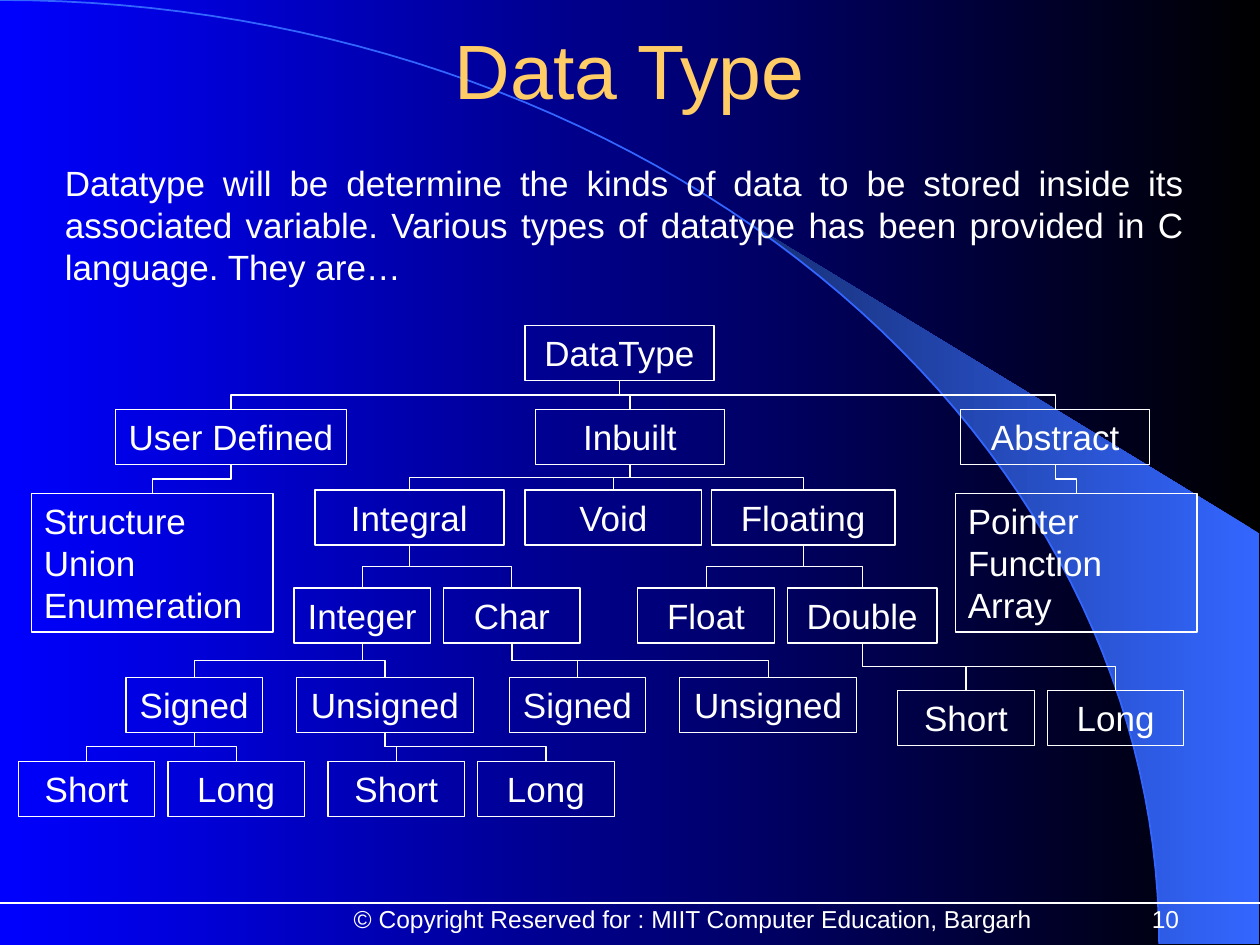
import math

import pptx
import pptx.dml.color
import pptx.enum.shapes
import pptx.enum.text
import pptx.oxml
import pptx.oxml.ns
import pptx.util

Pt = pptx.util.Pt
ALIGN = pptx.enum.text.PP_ALIGN
ANCHOR = pptx.enum.text.MSO_ANCHOR
AUTO_SIZE = pptx.enum.text.MSO_AUTO_SIZE
CONNECTOR = pptx.enum.shapes.MSO_CONNECTOR

COLORS = {
    "text": "FFFFFF", "line": "FFFFFF", "title": "FFCC66",
    "arc": "3366FF", "wedge_dark": "172F75",
    "back_right": "000000", "back_left": "0000FF",
}

# Tree geometry
NODE_HEIGHT = 31.5
LIST_HEIGHT = 79.2
LEAF_WIDTH = 78
LEAF_STEP = 85.5
TOP_SITE, BOTTOM_SITE = 0, 2

# Background arc: a quarter ellipse centred on the lower left corner
ARC_WIDTH, ARC_HEIGHT = 662.4, 539.3

# name: (parent, text, left, top, width)
NODES = {
    "root": (None, "DataType", 300, 186, 108),
    "user": ("root", "User Defined", 66, 234, 132),
    "inbuilt": ("root", "Inbuilt", 306, 234, 108),
    "abstract": ("root", "Abstract", 549, 234, 108),
    "user list": ("user", "Structure\nUnion\nEnumeration", 18, 282, 138),
    "integral": ("inbuilt", "Integral", 180, 280, 108),
    "void": ("inbuilt", "Void", 300, 280, 101),
    "floating": ("inbuilt", "Floating", 406.5, 280, 105),
    "abstract list": ("abstract", "Pointer\nFunction\nArray", 546, 282, 138),
    "integer": ("integral", "Integer", 168, 336, LEAF_WIDTH),
    "char": ("integral", "Char", 168 + LEAF_STEP, 336, LEAF_WIDTH),
    "float": ("floating", "Float", 364.5, 336, LEAF_WIDTH),
    "double": ("floating", "Double", 364.5 + LEAF_STEP, 336, 85.5),
    "signed integer": ("integer", "Signed", 72, 387, LEAF_WIDTH),
    "unsigned integer": ("integer", "Unsigned", 169.5, 387, 101),
    "signed char": ("char", "Signed", 291, 387, LEAF_WIDTH),
    "unsigned char": ("char", "Unsigned", 388.5, 387, 101),
}

# Each parent here has a Short and a Long leaf: (left, top)
SHORT_LONG = {
    "signed integer": (10.5, 435),
    "unsigned integer": (187.5, 435),
    "double": (513, 394.5),
}


def rgb(name):
    return pptx.dml.color.RGBColor.from_string(COLORS[name])


def apply_format(target, values):
    for name, value in values.items():
        setattr(target, name, value)


def fill_gradient(fill, first, last):
    fill.gradient()
    fill.gradient_angle = 180
    for stop, name in zip(fill.gradient_stops, (first, last)):
        stop.color.rgb = rgb(name)


def set_line(line, color, width):
    line.color.rgb = rgb(color)
    line.width = Pt(width)


def remove_shadow(connector):
    connector._element.spPr.append(pptx.oxml.parse_xml(
        "<a:effectLst %s/>" % pptx.oxml.ns.nsdecls("a")))


def write_text(shape, text, size, align, color="text",
               anchor=ANCHOR.TOP, auto_size=AUTO_SIZE.NONE):
    frame = shape.text_frame
    frame.text = text
    apply_format(frame, {"word_wrap": True, "vertical_anchor": anchor,
                         "auto_size": auto_size})
    for paragraph in frame.paragraphs:
        paragraph.alignment = align
        apply_format(paragraph.font, {"name": "Arial", "size": Pt(size)})
        paragraph.font.color.rgb = rgb(color)


def add_text(slide, box, text, size, align, **options):
    shape = slide.shapes.add_textbox(*map(Pt, box))
    write_text(shape, text, size, align, **options)


def arc_points(start_degrees, steps=60):
    points = []
    for step in range(steps + 1):
        angle = math.radians(start_degrees + (90 - start_degrees) * step / steps)
        points.append((ARC_WIDTH * math.sin(angle),
                       ARC_HEIGHT * (1 - math.cos(angle))))
    return points


def add_outline(slide, points, close):
    points = [(Pt(x), Pt(y)) for x, y in points]
    builder = slide.shapes.build_freeform(*points[0])
    builder.add_line_segments(points[1:], close=close)
    shape = builder.convert_to_shape()
    shape.shadow.inherit = False
    return shape


def add_background(slide):
    fill_gradient(slide.background.fill, "back_right", "back_left")

    wedge = add_outline(
        slide, arc_points(39.8) + [(719.3, ARC_HEIGHT), (719.3, 304.6)], True)
    fill_gradient(wedge.fill, "arc", "wedge_dark")
    wedge.line.fill.background()

    arc = add_outline(slide, arc_points(0), False)
    arc.fill.background()
    set_line(arc.line, "arc", 1)

    rule = slide.shapes.add_connector(
        CONNECTOR.STRAIGHT, 0, Pt(516), Pt(720), Pt(516))
    set_line(rule.line, "line", 0.75)
    remove_shadow(rule)


def add_node(slide, text, left, top, width):
    is_list = "\n" in text
    height = LIST_HEIGHT if is_list else NODE_HEIGHT
    shape = slide.shapes.add_shape(
        pptx.enum.shapes.MSO_SHAPE.RECTANGLE, *map(Pt, (left, top, width, height)))
    shape.shadow.inherit = False
    shape.fill.background()
    set_line(shape.line, "line", 0.75)
    write_text(shape, text, 20, ALIGN.LEFT if is_list else ALIGN.CENTER,
               auto_size=AUTO_SIZE.SHAPE_TO_FIT_TEXT)
    return shape


def add_branch(slide, parent, child):
    connector = slide.shapes.add_connector(CONNECTOR.ELBOW, 0, 0, 0, 0)
    connector.begin_connect(parent, BOTTOM_SITE)
    connector.end_connect(child, TOP_SITE)

    # The elbow runs downwards, so its frame is turned by a quarter
    start_x, end_x = (shape.left + shape.width // 2 for shape in (parent, child))
    start_y, end_y = parent.top + parent.height, child.top
    width, height = end_y - start_y, abs(end_x - start_x)
    apply_format(connector, {
        "left": (start_x + end_x - width) // 2,
        "top": (start_y + end_y - height) // 2,
        "width": width, "height": height})
    to_right = end_x > start_x
    frame = connector._element.spPr.find(pptx.oxml.ns.qn("a:xfrm"))
    for name, value in {"rot": "16200000" if to_right else "5400000",
                        "flipH": "1" if to_right else "0",
                        "flipV": "0"}.items():
        frame.set(name, value)
    set_line(connector.line, "line", 0.75)
    remove_shadow(connector)


def add_tree(slide):
    nodes = dict(NODES)
    for parent, (left, top) in SHORT_LONG.items():
        for index, text in enumerate(("Short", "Long")):
            nodes[parent, text] = (
                parent, text, left + index * LEAF_STEP, top, LEAF_WIDTH)
    shapes = {name: add_node(slide, *node[1:]) for name, node in nodes.items()}
    for name, node in nodes.items():
        if node[0]:
            add_branch(slide, shapes[node[0]], shapes[name])


def main():
    presentation = pptx.Presentation()
    apply_format(presentation, {"slide_width": Pt(720), "slide_height": Pt(540)})
    slide = presentation.slides.add_slide(presentation.slide_layouts[6])
    add_background(slide)

    # Title and introduction
    add_text(slide, (54, 12, 612, 54), "Data Type", 44, ALIGN.CENTER,
             color="title", anchor=ANCHOR.MIDDLE)
    add_text(slide, (30, 88.5, 654, 79.2),
             "Datatype will be determine the kinds of data to be stored inside "
             "its associated variable. Various types of datatype has been "
             "provided in C language. They are…", 20, ALIGN.JUSTIFY,
             auto_size=AUTO_SIZE.SHAPE_TO_FIT_TEXT)

    add_tree(slide)

    # Footer
    for left, width, text in (
            (171, 450, "© Copyright Reserved for : MIIT Computer Education, Bargarh"),
            (630, 72, "10")):
        add_text(slide, (left, 516, width, 18), text, 14, ALIGN.CENTER,
                 anchor=ANCHOR.MIDDLE)

    presentation.save("out.pptx")


if __name__ == "__main__":
    main()
